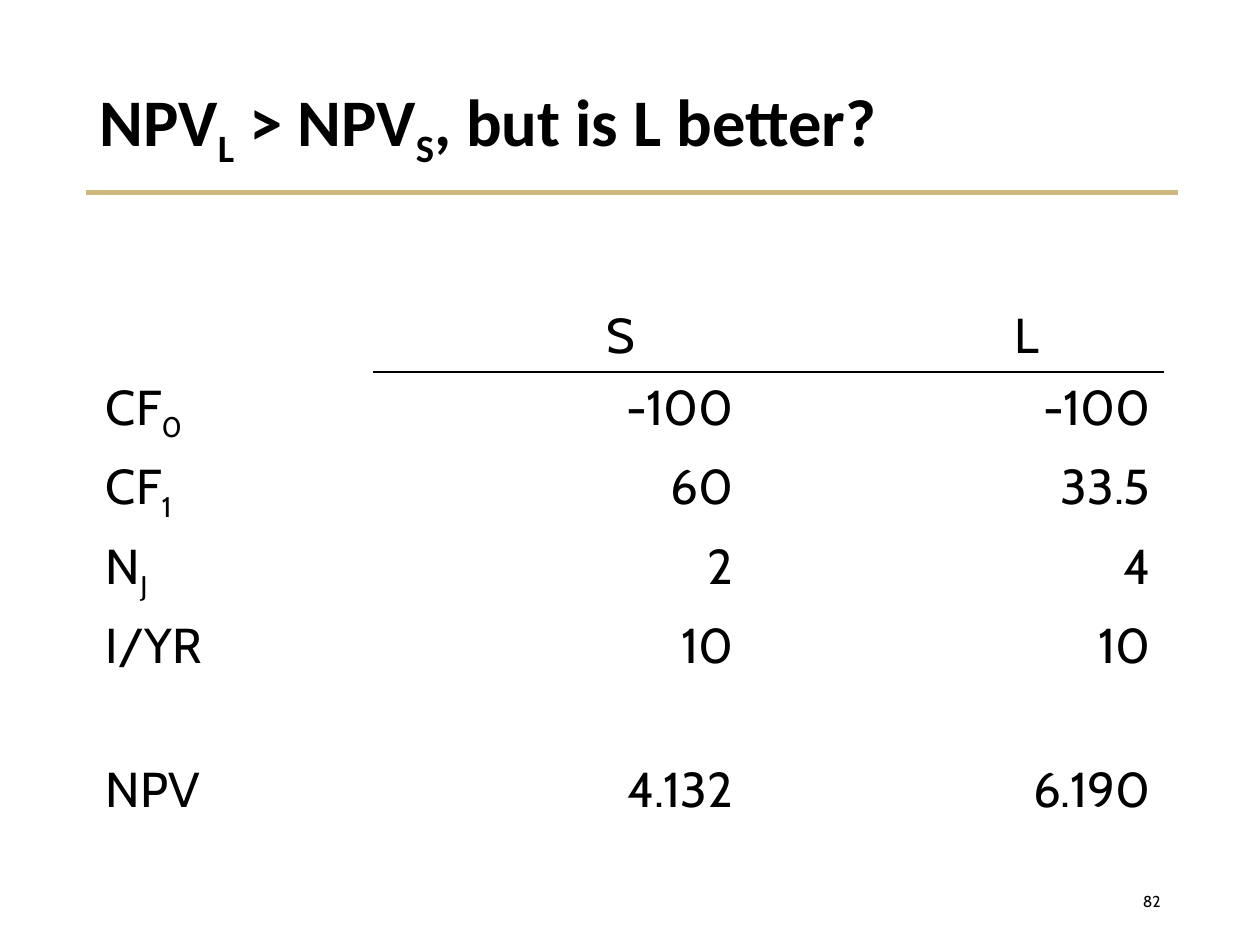
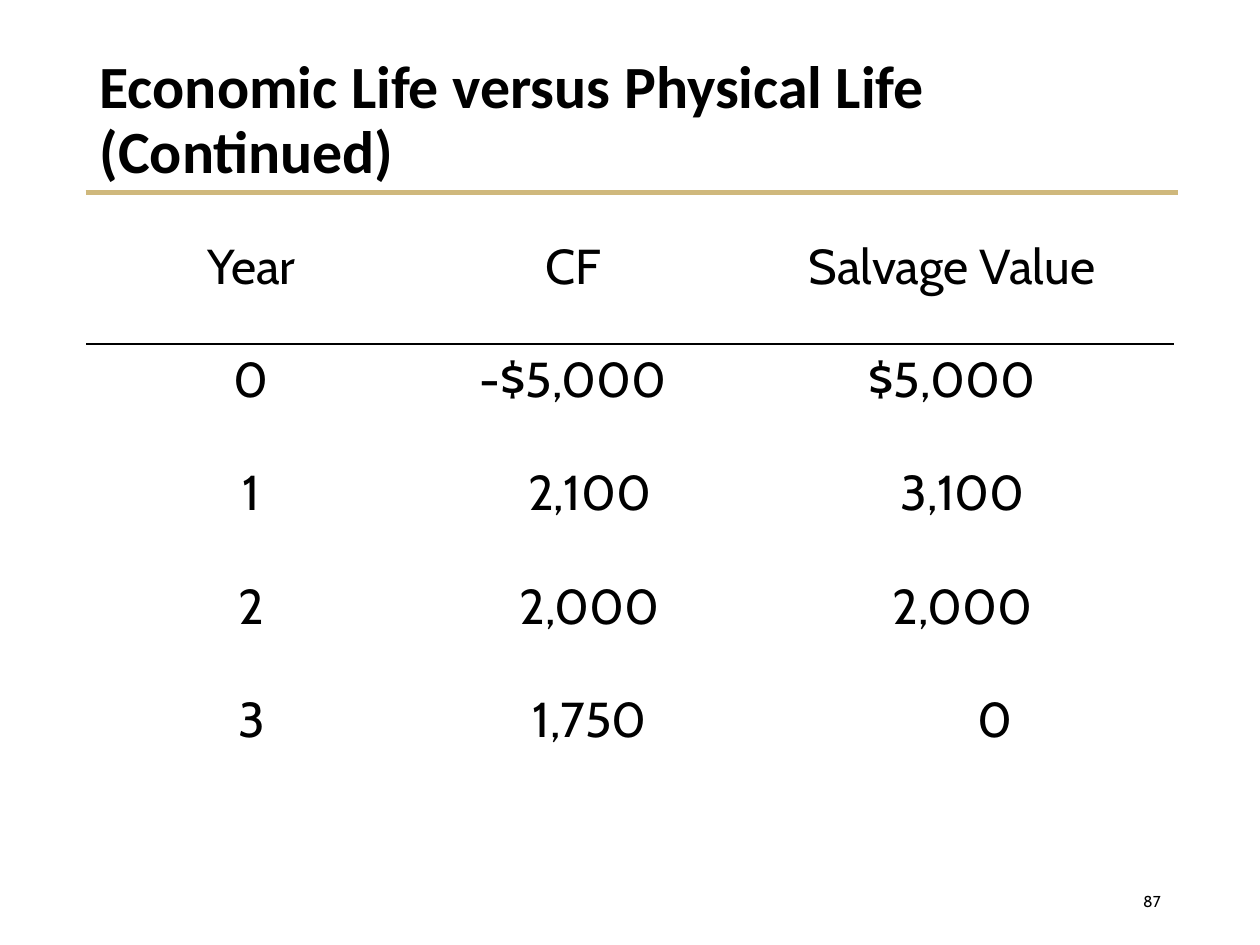
from lxml import etree
from pptx import Presentation
from pptx.dml.color import RGBColor
from pptx.enum.shapes import MSO_CONNECTOR
from pptx.enum.text import MSO_ANCHOR, MSO_AUTO_SIZE, PP_ALIGN
from pptx.oxml.ns import qn
from pptx.util import Inches, Pt

LEFT, CENTER, RIGHT = PP_ALIGN.LEFT, PP_ALIGN.CENTER, PP_ALIGN.RIGHT
MIDDLE = MSO_ANCHOR.MIDDLE
NO_AUTOFIT = MSO_AUTO_SIZE.NONE
STRAIGHT = MSO_CONNECTOR.STRAIGHT

BLACK = RGBColor(0x00, 0x00, 0x00)
GOLD = RGBColor(0xCF, 0xB8, 0x7C)
TITLE_FONT = "Calibri"
BODY_FONT = "Cabin"
BODY_SIZE = 28
CELL_MARGIN = 0.1
TITLE_ONLY_LAYOUT = 5

# Tuples alternate between normal and subscript text.
SLIDES = [
    {
        "title": ("NPV", "L", " > NPV", "S", ", but is L better?"),
        "title_size": 38,
        "number": "82",
        "position": (0.74, 2.38),
        "columns": [2.23, 2.95, 3.31],
        "row_heights": [0.57, 0.63, 0.63, 0.63, 0.57, 0.57, 0.57],
        "alignments": [LEFT, RIGHT, RIGHT],
        "ruled_columns": [1, 2],
        "rows": [
            ["", "S", "L"],
            [("CF", "0"), "-100", "-100"],
            [("CF", "1"), "60", "33.5"],
            [("N", "J"), "2", "4"],
            ["I/YR", "10", "10"],
            ["", "", ""],
            ["NPV", "4.132", "6.190"],
        ],
        "indents": {(0, 1): 0.96, (0, 2): 1.14},
    },
    {
        "title": "Economic Life versus Physical Life (Continued)",
        "title_size": 34.2,
        "number": "87",
        "position": (0.69, 1.83),
        "columns": [2.61, 2.5, 3.51],
        "row_heights": [0.9] * 5,
        "alignments": [CENTER] * 3,
        "ruled_columns": [0, 1, 2],
        "rows": [
            ["Year", "CF", "Salvage Value"],
            ["0", "-$5,000", "$5,000"],
            ["1", "2,100", "3,100"],
            ["2", "2,000", "2,000"],
            ["3", "1,750", "0"],
        ],
        "indents": {
            (2, 1): 0.26, (3, 1): 0.26, (4, 1): 0.26,
            (2, 2): 0.17, (3, 2): 0.17, (4, 2): 0.69,
        },
    },
]


def write_text(text_frame, text, font_name, size, alignment, bold=False):
    paragraph = text_frame.paragraphs[0]
    paragraph.alignment = alignment
    parts = (text,) if isinstance(text, str) else text
    for index, part in enumerate(parts):
        run = paragraph.add_run()
        run.text = part
        run.font.name = font_name
        run.font.size = Pt(size)
        run.font.bold = bold
        run.font.color.rgb = BLACK
        if index % 2:
            run._r.get_or_add_rPr().set("baseline", "-25000")
    return paragraph


def add_title(slide, text, size):
    title = slide.shapes.title
    title.left, title.top = Inches(0.69), Inches(0.4)
    title.width, title.height = Inches(8.62), Inches(1.13)
    text_frame = title.text_frame
    text_frame.word_wrap = True
    text_frame.auto_size = NO_AUTOFIT
    text_frame.vertical_anchor = MIDDLE
    paragraph = write_text(text_frame, text, TITLE_FONT, size, LEFT, bold=True)
    paragraph.line_spacing = 0.9


def add_title_rule(slide):
    rule = slide.shapes.add_connector(
        STRAIGHT, Inches(0.68), Inches(1.53), Inches(9.35), Inches(1.53))
    rule.line.color.rgb = GOLD
    rule.line.width = Pt(3)
    etree.SubElement(rule._element.spPr, qn("a:effectLst"))


def add_slide_number(slide, number):
    box = slide.shapes.add_textbox(
        Inches(7.06), Inches(6.95), Inches(2.25), Inches(0.4))
    box.text_frame.word_wrap = True
    box.text_frame.vertical_anchor = MIDDLE
    write_text(box.text_frame, number, BODY_FONT, 9, RIGHT)


def add_border(cell, side):
    border = etree.Element(qn(f"a:{side}"), w=str(Pt(1)))
    fill = etree.SubElement(border, qn("a:solidFill"))
    etree.SubElement(fill, qn("a:srgbClr"), val=str(BLACK))
    cell._tc.get_or_add_tcPr().insert(0, border)


def add_value_table(slide, content):
    rows, columns = content["rows"], content["columns"]
    heights = content["row_heights"]
    left, top = content["position"]
    table = slide.shapes.add_table(
        len(rows), len(columns), Inches(left), Inches(top),
        Inches(sum(columns)), Inches(sum(heights))).table
    table.first_row = False
    table.horz_banding = False
    for column, width in zip(table.columns, columns):
        column.width = Inches(width)
    for row, height in zip(table.rows, heights):
        row.height = Inches(height)

    for row_index, row in enumerate(rows):
        for column_index, text in enumerate(row):
            cell = table.cell(row_index, column_index)
            cell.fill.background()
            indent = content["indents"].get((row_index, column_index), 0)
            cell.margin_left = Inches(CELL_MARGIN + indent)
            if text:
                alignment = CENTER if row_index == 0 else content["alignments"][column_index]
                write_text(cell.text_frame, text, BODY_FONT, BODY_SIZE, alignment)

    for column_index in content["ruled_columns"]:
        add_border(table.cell(0, column_index), "lnB")
        add_border(table.cell(1, column_index), "lnT")


def main():
    presentation = Presentation()
    presentation.slide_width = Inches(10)
    presentation.slide_height = Inches(7.5)
    for content in SLIDES:
        slide = presentation.slides.add_slide(
            presentation.slide_layouts[TITLE_ONLY_LAYOUT])
        add_title_rule(slide)
        add_title(slide, content["title"], content["title_size"])
        add_value_table(slide, content)
        add_slide_number(slide, content["number"])
    presentation.save("out.pptx")


if __name__ == "__main__":
    main()
